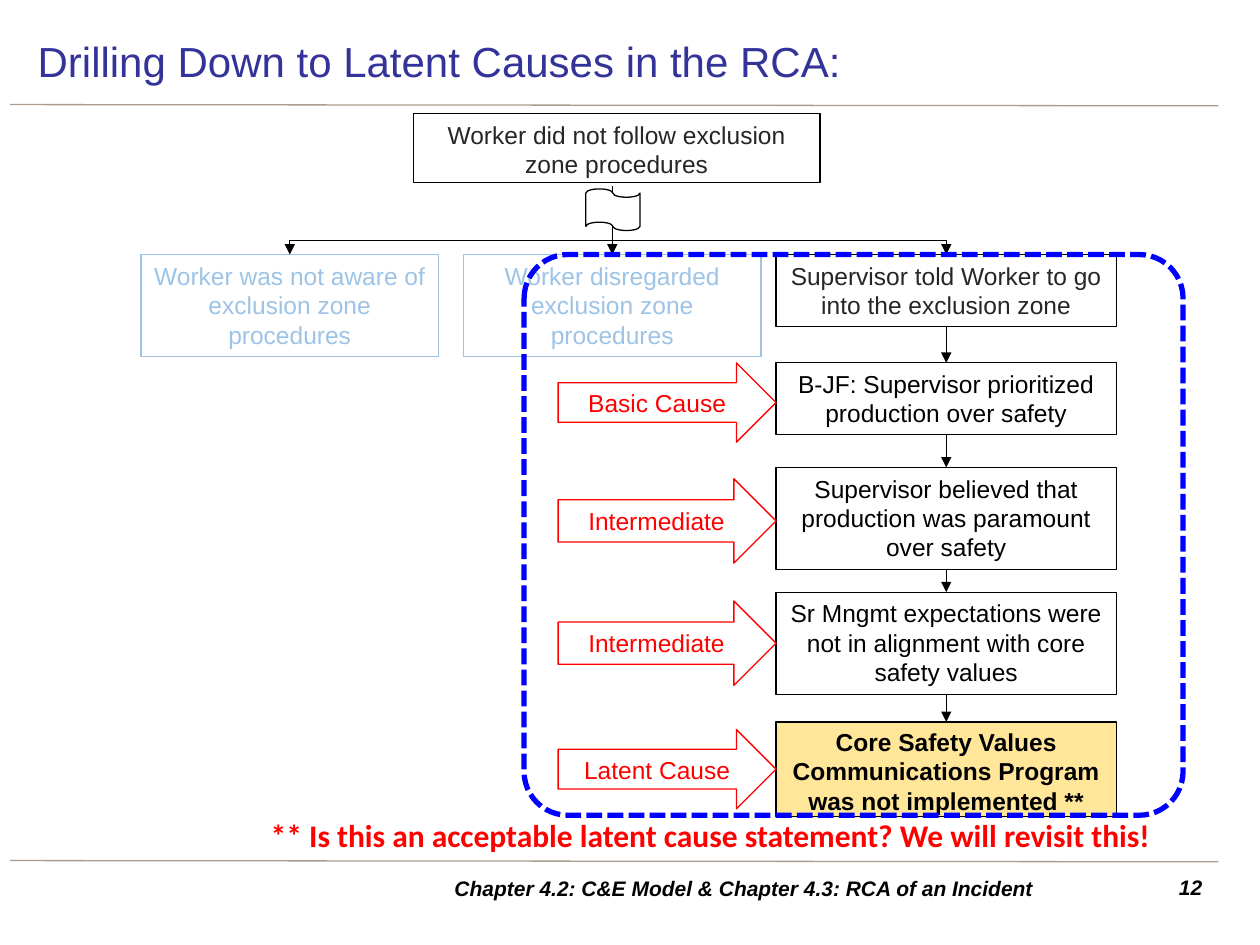
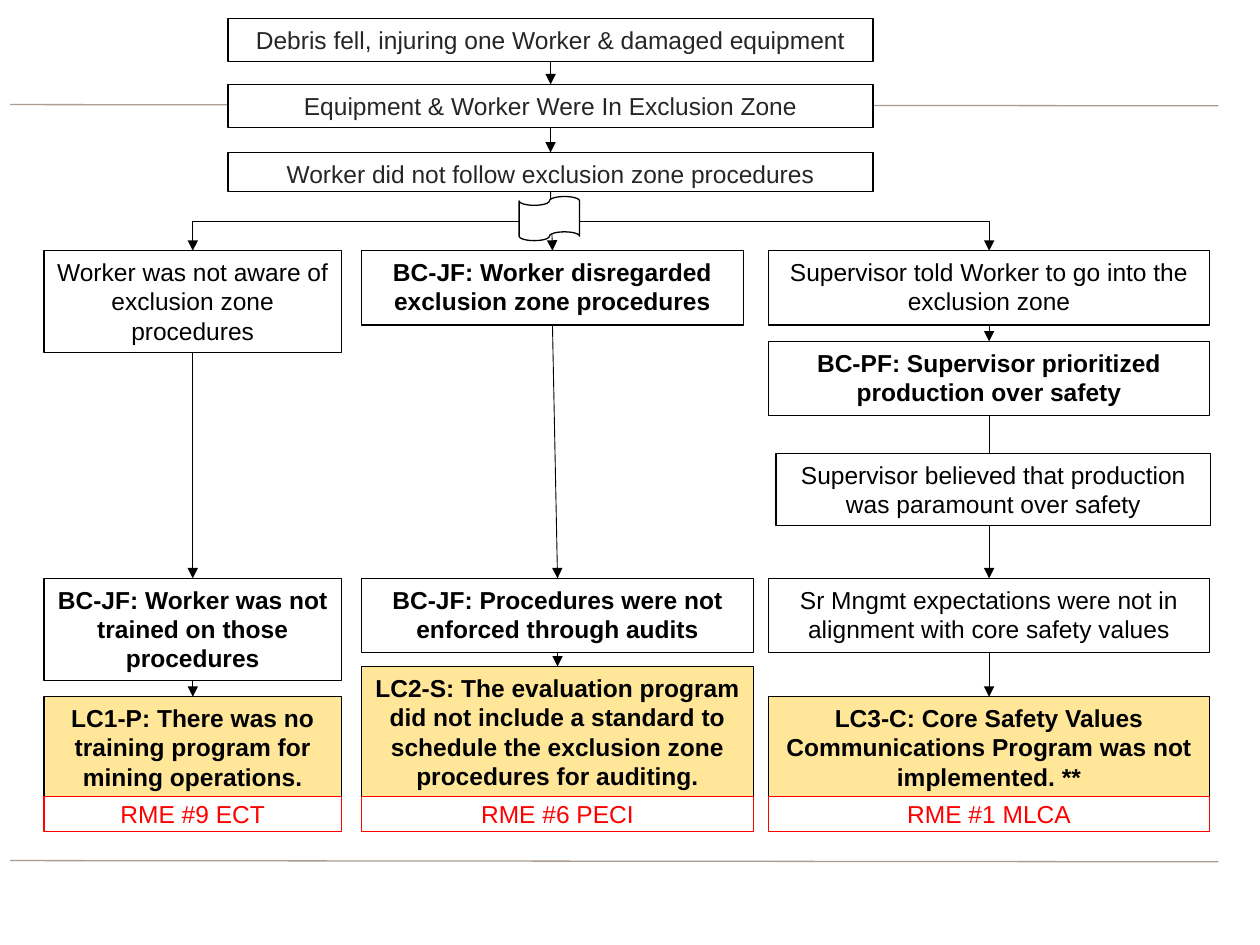
from pptx import Presentation
from pptx.dml.color import RGBColor
from pptx.enum.dml import MSO_LINE
from pptx.enum.shapes import MSO_CONNECTOR, MSO_SHAPE
from pptx.enum.text import MSO_ANCHOR, PP_ALIGN
from pptx.oxml.ns import qn
from pptx.util import Inches, Pt
from lxml import etree

RECT, ROUNDED = MSO_SHAPE.RECTANGLE, MSO_SHAPE.ROUNDED_RECTANGLE
BLOCK_ARROW, TAPE = MSO_SHAPE.RIGHT_ARROW, MSO_SHAPE.FLOWCHART_PUNCHED_TAPE
STRAIGHT, ELBOW = MSO_CONNECTOR.STRAIGHT, MSO_CONNECTOR.ELBOW
LEFT, CENTER, RIGHT = PP_ALIGN.LEFT, PP_ALIGN.CENTER, PP_ALIGN.RIGHT
TOP, MIDDLE = MSO_ANCHOR.TOP, MSO_ANCHOR.MIDDLE
DASH = MSO_LINE.SQUARE_DOT
BOTTOM_SIDE, TOP_SIDE = 2, 0

COLORS = {
    "white": "FFFFFF", "black": "000000", "charcoal": "262626",
    "title": "333399", "rule": "AA9C8F", "faded": "9DC3E6",
    "red": "FF0000", "latent": "FFE699", "focus": "0000FF",
}
INSETS = (0.1, 0.05, 0.1, 0.05)
LATENT = {"fill": "latent", "bold": True}
BOLD = {"bold": True}
FADED = {"line": "faded", "color": "faded"}
CHARCOAL = {"color": "charcoal"}


def rgb(name):
    return RGBColor.from_string(COLORS[name])


def write(shape, text, size=14, font="Arial", color="black", bold=False,
          italic=False, align=CENTER, anchor=TOP, insets=INSETS):
    frame = shape.text_frame
    frame.word_wrap = True
    frame.vertical_anchor = anchor
    (frame.margin_left, frame.margin_top,
     frame.margin_right, frame.margin_bottom) = map(Inches, insets)
    para = frame.paragraphs[0]
    para.alignment = align
    span = para.add_run()
    span.text = text
    span.font.size, span.font.name = Pt(size), font
    span.font.bold, span.font.italic = bold, italic
    span.font.color.rgb = rgb(color)


def add_label(page, box, text, **text_format):
    write(page.shapes.add_textbox(*map(Inches, box)), text, **text_format)


def add_box(page, box, text="", kind=RECT, fill="white", line="black",
            weight=0.75, **text_format):
    shape = page.shapes.add_shape(kind, *map(Inches, box))
    shape.shadow.inherit = False
    if fill:
        shape.fill.solid()
        shape.fill.fore_color.rgb = rgb(fill)
    else:
        shape.fill.background()
    shape.line.color.rgb = rgb(line)
    shape.line.width = Pt(weight)
    if text:
        write(shape, text, **text_format)
    return shape


def add_line(page, start, end, kind=STRAIGHT, color="black", weight=0.5,
             arrow=True):
    line = page.shapes.add_connector(kind, *map(Inches, (*start, *end)))
    line.line.color.rgb = rgb(color)
    line.line.width = Pt(weight)
    properties = line._element.spPr
    if arrow:
        etree.SubElement(properties.find(qn("a:ln")), qn("a:tailEnd"),
                         type="triangle")
    etree.SubElement(properties, qn("a:effectLst"))
    return line


def join_down(page, upper, lower):
    line = add_line(page, (0, 0), (1, 1))
    line.begin_connect(upper, BOTTOM_SIDE)
    line.end_connect(lower, TOP_SIDE)


def add_branch(page, start, end):
    """Elbow arrow that leaves downwards, runs sideways, then drops to end."""
    run, drop = abs(end[0] - start[0]), end[1] - start[1]
    left = (start[0] + end[0] - drop) / 2
    top = (start[1] + end[1] - run) / 2
    line = add_line(page, (left, top), (left + drop, top + run), ELBOW)
    transform = line._element.spPr.find(qn("a:xfrm"))
    if end[0] > start[0]:
        transform.set("rot", str(270 * 60000))
        transform.set("flipH", "1")
    else:
        transform.set("rot", str(90 * 60000))


def add_column(page, left, width, steps):
    """Stack of (top, height, text, format) boxes; returns them in order."""
    return [add_box(page, (left, top, width, height), text, **text_format)
            for top, height, text, text_format in steps]


def join_column(page, boxes):
    for upper, lower in zip(boxes, boxes[1:]):
        join_down(page, upper, lower)


def new_page(deck):
    page = deck.slides.add_slide(deck.slide_layouts[6])
    for y in (0.83, 6.83):
        add_line(page, (0.08, y), (9.67, y + 0.01), color="rule",
                 weight=0.75, arrow=False)
    return page


def add_footer(page, text, number):
    style = {"size": 12, "bold": True, "italic": True}
    add_label(page, (9.06, 6.89, 0.58, 0.31), number, align=RIGHT, **style)
    add_label(page, (2.95, 6.89, 5.91, 0.31), text, anchor=MIDDLE, **style)


def add_cause_arrows(page, left, width):
    for top, height, text in (
            (2.88, 0.63, "Basic Cause"), (3.8, 0.67, "Intermediate"),
            (4.77, 0.67, "Intermediate"), (5.79, 0.63, "Latent Cause")):
        add_box(page, (left, top, width, height), text, kind=BLOCK_ARROW,
                line="red", color="red", anchor=MIDDLE)


def build_drill_down(deck):
    page = new_page(deck)
    add_label(page, (0.2, 0.21, 9.45, 0.55),
              "Drilling Down to Latent Causes in the RCA:",
              size=24, color="title", align=LEFT, anchor=MIDDLE)
    add_footer(page, "Chapter 4.2: C&E Model & Chapter 4.3: RCA of an Incident",
               "12")

    add_box(page, (3.28, 0.9, 3.23, 0.55),
            "Worker did not follow exclusion zone procedures", **CHARCOAL)
    branch_top = 2.02
    add_box(page, (1.12, branch_top, 2.36, 0.81),
            "Worker was not aware of exclusion zone procedures", **FADED)
    disregarded = add_box(page, (3.68, branch_top, 2.36, 0.81),
                          "Worker disregarded exclusion zone procedures",
                          **FADED)
    chain = add_column(page, 6.16, 2.7, (
        (branch_top, 0.57,
         "Supervisor told Worker to go into the exclusion zone", CHARCOAL),
        (2.88, 0.57, "B-JF: Supervisor prioritized production over safety", {}),
        (3.71, 0.81,
         "Supervisor believed that production was paramount over safety", {}),
        (4.7, 0.81,
         "Sr Mngmt expectations were not in alignment with core safety values",
         {}),
        (5.73, 0.75,
         "Core Safety Values Communications Program was not implemented **",
         {**LATENT, "insets": (0.04, 0.04, 0.04, 0)}),
    ))
    join_column(page, chain)

    for x in (7.51, 2.3):
        add_branch(page, (4.86, 1.8), (x, branch_top))
    trunk = add_line(page, (4.86, 1.48), (4.86, branch_top))
    trunk.end_connect(disregarded, TOP_SIDE)
    gate = add_box(page, (4.65, 1.5, 0.43, 0.33), kind=TAPE)
    gate._element.spPr.find(qn("a:xfrm")).set("flipH", "1")

    add_cause_arrows(page, 4.43, 1.73)
    focus = add_box(page, (4.16, 2.02, 5.23, 4.45), kind=ROUNDED, fill=None,
                    line="focus", weight=3)
    focus.adjustments[0] = 0.078
    focus.line.dash_style = DASH
    add_label(page, (2.05, 6.43, 7.44, 0.4),
              "** Is this an acceptable latent cause statement? "
              "We will revisit this!",
              size=18, font="Calibri", color="red", bold=True, align=LEFT)


def build_full_tree(deck):
    page = new_page(deck)
    branch_top, basic_top, latent_top = 1.99, 4.59, 5.53
    events = add_column(page, 1.81, 5.12, (
        (0.15, 0.34, "Debris fell, injuring one Worker & damaged equipment",
         CHARCOAL),
        (0.67, 0.34, "Equipment & Worker Were In Exclusion Zone", CHARCOAL),
        (1.21, 0.31, "Worker did not follow exclusion zone procedures",
         CHARCOAL),
    ))
    join_column(page, events)

    unaware = add_column(page, 0.35, 2.36, (
        (branch_top, 0.81,
         "Worker was not aware of exclusion zone procedures", {}),
        (basic_top, 0.81,
         "BC-JF: Worker was not trained on those procedures", BOLD),
        (latent_top, 0.81,
         "LC1-P: There was no training program for mining operations.",
         LATENT),
    ))
    disregarded = add_column(page, 2.87, 3.03, (
        (branch_top, 0.59,
         "BC-JF: Worker disregarded exclusion zone procedures", BOLD),
    )) + add_column(page, 2.87, 3.11, (
        (basic_top, 0.59,
         "BC-JF: Procedures were not enforced through audits", BOLD),
        (5.29, 1.04,
         "LC2-S: The evaluation program did not include a standard to "
         "schedule the exclusion zone procedures for auditing.", LATENT),
    ))
    told = add_column(page, 6.1, 3.5, (
        (branch_top, 0.59,
         "Supervisor told Worker to go into the exclusion zone", {}),
        (2.71, 0.59,
         "BC-PF: Supervisor prioritized production over safety", BOLD),
        (basic_top, 0.59,
         "Sr Mngmt expectations were not in alignment with core safety values",
         {}),
        (latent_top, 0.81,
         "LC3-C: Core Safety Values Communications Program was not "
         "implemented. **", LATENT),
    ))
    for column in (unaware, disregarded, told):
        join_column(page, column)
    add_box(page, (6.16, 3.6, 3.45, 0.57),
            "Supervisor believed that production was paramount over safety")

    for x in (7.85, 1.53):
        add_branch(page, (4.37, 1.52), (x, branch_top))
    join_down(page, events[-1], disregarded[0])
    add_box(page, (4.12, 1.56, 0.48, 0.35), kind=TAPE)

    for left, width, text in ((0.35, 2.36, "RME #9 ECT"),
                              (2.87, 3.11, "RME #6 PECI"),
                              (6.1, 3.5, "RME #1 MLCA")):
        add_box(page, (left, 6.32, width, 0.28), text, line="red",
                color="red", anchor=MIDDLE)


def main():
    deck = Presentation()
    deck.slide_width, deck.slide_height = Inches(10), Inches(7.5)
    build_drill_down(deck)
    build_full_tree(deck)
    deck.save("out.pptx")


if __name__ == "__main__":
    main()
